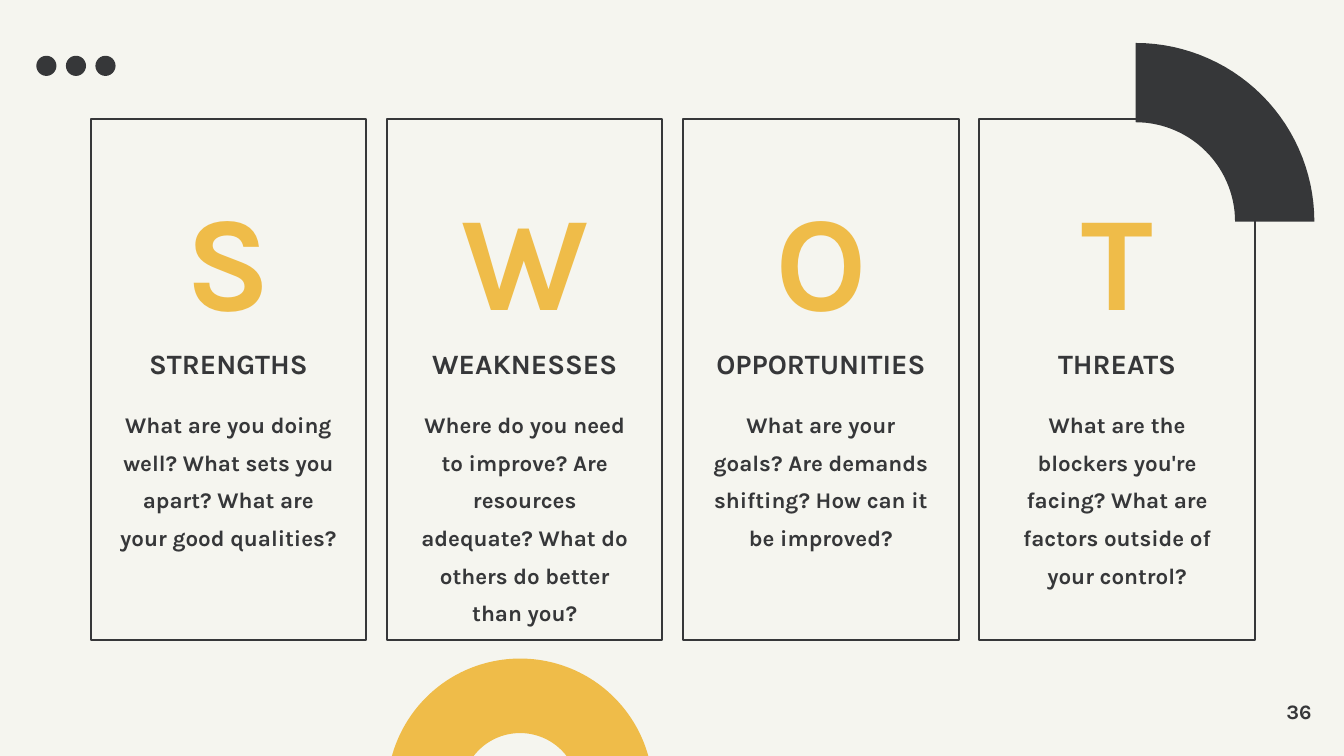
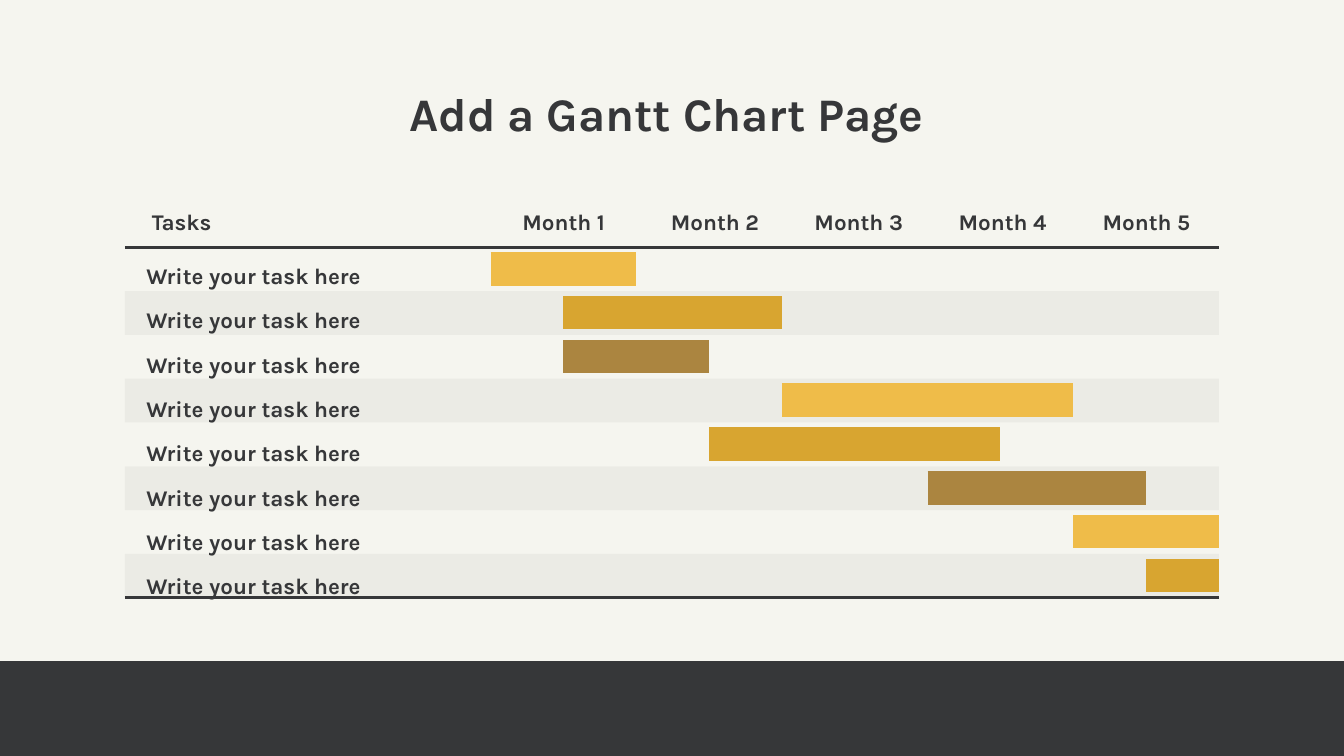
import math

import lxml.etree
import pptx
import pptx.dml.color
import pptx.enum.shapes
import pptx.enum.text
import pptx.oxml.ns
import pptx.util

FONT = "Karla"
PAPER, INK = "F5F5EF", "363739"
GOLD, AMBER, BRONZE = "EFBC49", "D8A530", "AB8540"

WIDE = pptx.util.Inches(10)
HIGH = WIDE * 9 // 16
COLS = 100  # square grid cells across the slide
ROWS = COLS * 9 / 16

SHAPE = pptx.enum.shapes.MSO_SHAPE
ALIGN = pptx.enum.text.PP_ALIGN
ANCHOR = pptx.enum.text.MSO_ANCHOR
FIT = pptx.enum.text.MSO_AUTO_SIZE

# size, line spacing, alignment, colour
LETTER = (72, 1.25, ALIGN.CENTER, GOLD)
HEAD = (15, 1.2, ALIGN.CENTER, INK)
BODY = (12, 1.4, ALIGN.CENTER, INK)
TASK = (12, 1.4, ALIGN.JUSTIFY, INK)
TITLE = (25, 1.2, ALIGN.CENTER, INK)
FOLIO = (11, 1.0, ALIGN.RIGHT, INK)

SWOT = [
    ("S", "STRENGTHS", "What are you doing well? What sets you apart? "
     "What are your good qualities?"),
    ("W", "WEAKNESSES", "Where do you need to improve? Are resources adequate? "
     "What do others do better than you?"),
    ("O", "OPPORTUNITIES", "What are your goals? Are demands shifting? "
     "How can it be improved?"),
    ("T", "THREATS", "What are the blockers you're facing? "
     "What are factors outside of your control?"),
]

# start and end of each task, in months
SPANS = [(0, 1), (0.5, 2), (0.5, 1.5), (2, 4),
         (1.5, 3.5), (3, 4.5), (4, 5), (4.5, 5)]


def color(code):
    return pptx.dml.color.RGBColor.from_string(code)


def grid(*cells):
    """Turn grid cells into slide lengths."""
    return [pptx.util.Emu(round(cell * WIDE / COLS)) for cell in cells]


def apply(target, values):
    for name, value in values.items():
        setattr(target, name, value)


def paint(shape, fill=None, line=None, alpha=None):
    shape.shadow.inherit = False
    if fill:
        shape.fill.solid()
        shape.fill.fore_color.rgb = color(fill)
    else:
        shape.fill.background()
    if line:
        shape.line.color.rgb = color(line)
        shape.line.width = pptx.util.Pt(1)
    else:
        shape.line.fill.background()
    if alpha:
        tint = shape.element.spPr.find(".//" + pptx.oxml.ns.qn("a:srgbClr"))
        node = lxml.etree.SubElement(tint, pptx.oxml.ns.qn("a:alpha"))
        node.set("val", str(alpha * 1000))
    return shape


def form(slide, kind, box, **look):
    return paint(slide.shapes.add_shape(kind, *grid(*box)), **look)


def rule(slide, ends, code, width):
    line = slide.shapes.add_connector(
        pptx.enum.shapes.MSO_CONNECTOR.STRAIGHT, *grid(*ends))
    line.line.color.rgb = color(code)
    line.line.width = pptx.util.Pt(width)
    lxml.etree.SubElement(line.element.spPr, pptx.oxml.ns.qn("a:effectLst"))


def write(slide, words, box, style, **extra):
    size, space, align, code = style
    frame = slide.shapes.add_textbox(*grid(*box)).text_frame
    apply(frame, dict(word_wrap=True, margin_left=0, margin_right=0,
                      margin_top=0, margin_bottom=0,
                      auto_size=FIT.SHAPE_TO_FIT_TEXT) | extra)
    para = frame.paragraphs[0]
    para.text = words
    apply(para, dict(alignment=align, line_spacing=space))
    apply(para.font, dict(name=FONT, size=pptx.util.Pt(size), bold=True))
    para.font.color.rgb = color(code)


def sweep(slide, x, y, outer, inner):
    """Draw the upper right quarter of a ring centred on x, y."""
    turns = [math.radians(90 * step / 30) for step in range(31)]
    rim = [(outer, turn) for turn in turns]
    rim += [(inner, turn) for turn in reversed(turns)]
    dots = [tuple(grid(x + far * math.cos(turn), y - far * math.sin(turn)))
            for far, turn in rim]
    build = slide.shapes.build_freeform(*dots[0])
    build.add_line_segments(dots[1:], close=True)
    paint(build.convert_to_shape(), fill=INK)


def start(deck):
    slide = deck.slides.add_slide(deck.slide_layouts[6])
    slide.background.fill.solid()
    slide.background.fill.fore_color.rgb = color(PAPER)
    return slide


def card(slide, left, letter, head, body):
    form(slide, SHAPE.RECTANGLE, (left, 8.85, 20.5, 38.8), line=INK)
    inner = left + 2.15
    write(slide, letter, (inner, 10.1, 16.2, 12.1), LETTER)
    write(slide, head, (inner, 25.3, 16.2, 2.5), HEAD)
    write(slide, body, (inner, 29.8, 16.2, 10.5), BODY)


def swot(slide):
    ring = form(slide, SHAPE.DONUT, (28.8, 49, 19.8, 19.8), fill=GOLD)
    ring.adjustments[0] = 0.28
    for col, texts in enumerate(SWOT):
        card(slide, 6.75 + 22.04 * col, *texts)
    sweep(slide, 84.5, 16.5, 13.3, 5.9 + 1.5)
    for dot in range(3):
        form(slide, SHAPE.OVAL, (2.7 + 2.2 * dot, 4.15, 1.5, 1.5), fill=INK)
    write(slide, "36", (91.6, 51.9, 6, 2), FOLIO,
          auto_size=FIT.NONE, vertical_anchor=ANCHOR.MIDDLE)


def gantt(slide):
    left, right, top = 9.3, 90.7, 18.4
    row, first = 3.26, 36.5
    month = (right - first) / 5
    form(slide, SHAPE.RECTANGLE, (0, 49.2, COLS, ROWS - 49.2), fill=INK)
    for odd in range(1, len(SPANS), 2):
        form(slide, SHAPE.RECTANGLE,
             (left, top + row * odd, right - left, row), fill=INK, alpha=5)
    for edge in (top, top + row * len(SPANS)):
        rule(slide, (left, edge, right, edge), INK, 1.5)

    write(slide, "Tasks", (11.3, 14.7, 23.9, 2), TASK)
    heads = [(37.8, 8.3)] + [(49.6 + 10.7 * col, 7.2) for col in range(4)]
    for count, (x, width) in enumerate(heads, 1):
        write(slide, f"Month {count}", (x, 14.7, width, 2), BODY)

    hues = (GOLD, AMBER, BRONZE)
    for item, (begin, end) in enumerate(SPANS):
        write(slide, "Write your task here",
              (10.9, 18.7 + 3.3 * item, 24.3, 2), TASK)
        mid = top + row * (item + 0.49)
        rule(slide, (first + month * begin, mid, first + month * end, mid),
             hues[item % 3], 18)
    write(slide, "Add a Gantt Chart Page", (left, 5.5, 80.6, 4.2), TITLE)


def main():
    deck = pptx.Presentation()
    apply(deck, dict(slide_width=WIDE, slide_height=HIGH))
    swot(start(deck))
    gantt(start(deck))
    deck.save("out.pptx")


if __name__ == "__main__":
    main()
